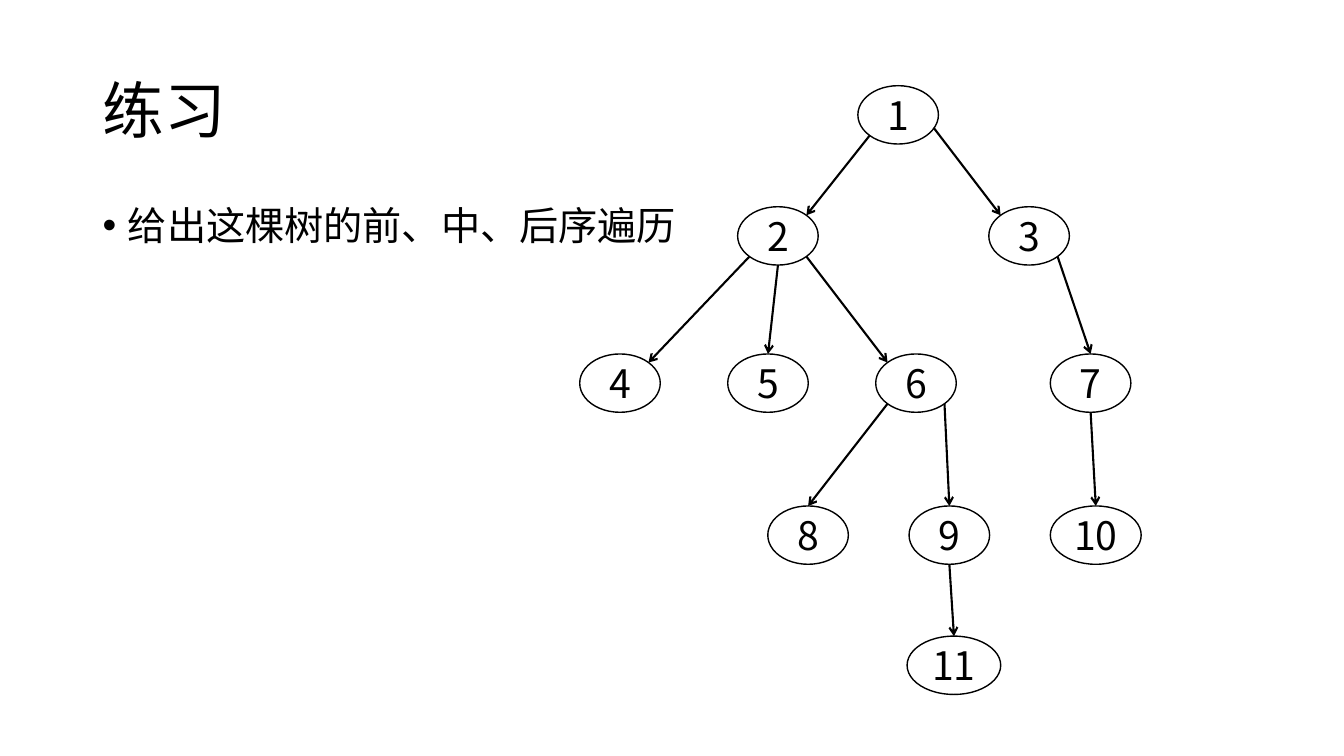
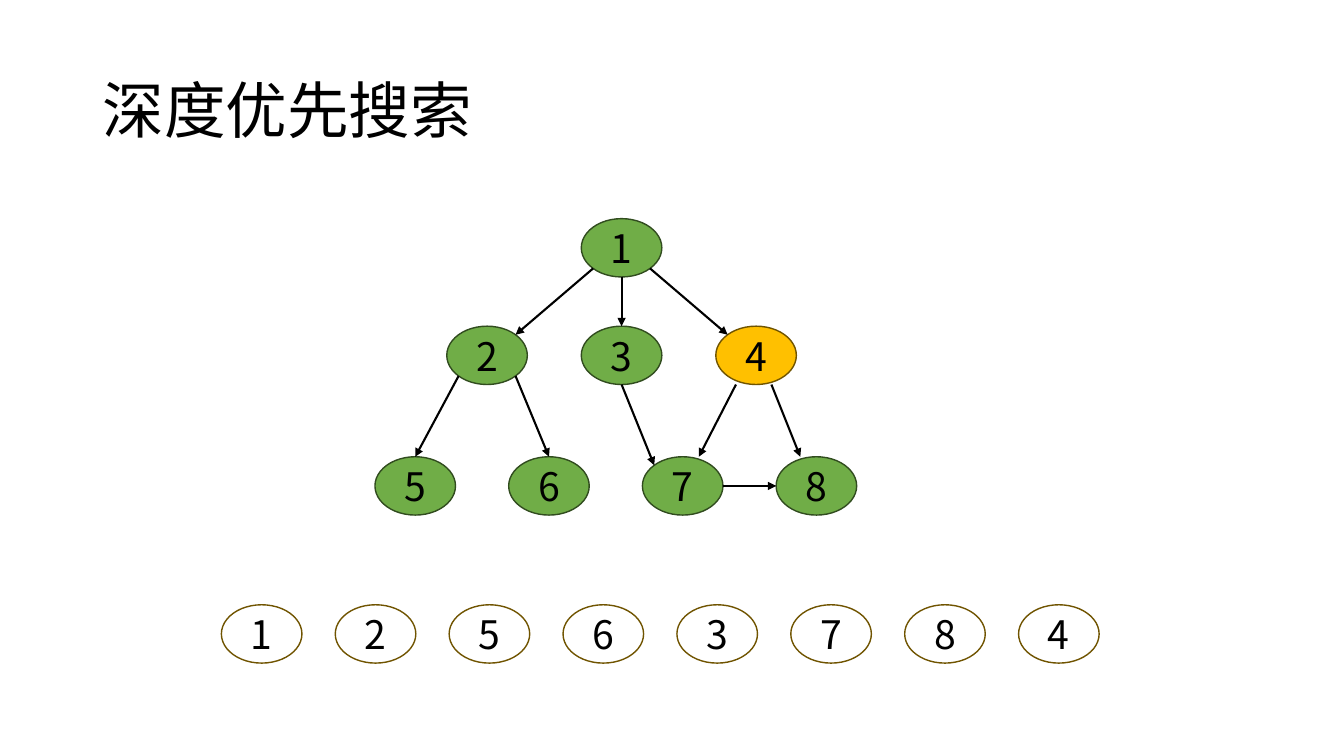
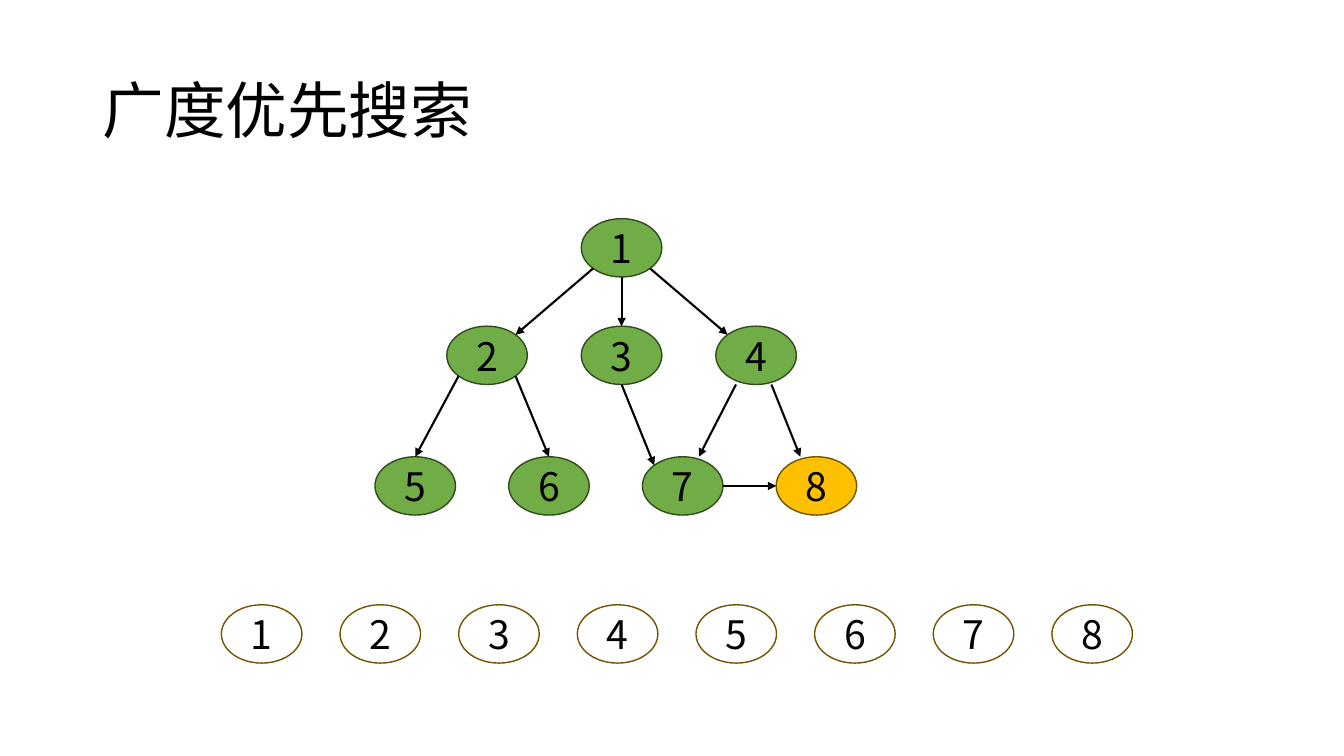
from dataclasses import dataclass
from math import cos, radians, sin

from lxml import etree
from pptx import Presentation
from pptx import util as u
from pptx.dml.color import RGBColor
from pptx.enum import shapes, text
from pptx.oxml import ns

TOP, TOP_LEFT, LEFT, BOTTOM_LEFT, BOTTOM, BOTTOM_RIGHT, RIGHT, TOP_RIGHT = range(8)


@dataclass(frozen=True)
class Theme:
    """Colours, font and type sizes of the deck."""

    font: str = "Noto Sans CJK SC"
    ink: str = "000000"
    paper: str = "FFFFFF"
    green: str = "70AD47"
    dark_green: str = "314C1F"
    gold: str = "FFC000"
    dark_gold: str = "705400"
    title_size: float = 44
    text_size: float = 28
    outline: float = 1
    edge: float = 1.5


class Lecture:
    """Builds slides of titles, lists and node graphs in one style."""

    node_width, node_height = 2.03, 1.47

    def __init__(self, theme):
        self.theme = theme
        self.deck = Presentation()
        self.deck.slide_width = u.Cm(33.87)
        self.deck.slide_height = u.Cm(19.05)
        self.slide = None

    def add_slide(self, title, layout):
        self.slide = self.deck.slides.add_slide(self.deck.slide_layouts[layout])
        box = self.slide.shapes.title
        self.place(box, 2.33, 1.01, 29.21, 3.68)
        box.text_frame.vertical_anchor = text.MSO_ANCHOR.MIDDLE
        para = box.text_frame.paragraphs[0]
        para.alignment = text.PP_ALIGN.LEFT
        para.line_spacing = 0.9
        self.add_span(para, title, self.theme.title_size)

    def place(self, box, left, top, width, height):
        box.left, box.top = u.Cm(left), u.Cm(top)
        box.width, box.height = u.Cm(width), u.Cm(height)
        box.text_frame.auto_size = text.MSO_AUTO_SIZE.NONE

    def add_span(self, para, words, size):
        span = para.add_run()
        span.text = words
        span.font.name = self.theme.font
        span.font.size = u.Pt(size)
        span.font.color.rgb = RGBColor.from_string(self.theme.ink)
        east_asian = etree.SubElement(span.font._element, ns.qn("a:ea"))
        east_asian.set("typeface", self.theme.font)

    def bullets(self, items):
        box = self.slide.placeholders[1]
        self.place(box, 2.33, 5.07, 29.21, 12.09)
        frame = box.text_frame
        for number, item in enumerate(items):
            para = frame.add_paragraph() if number else frame.paragraphs[0]
            para.line_spacing = 0.9
            para.space_before = u.Pt(10)
            properties = para._p.get_or_add_pPr()
            properties.set("marL", str(u.Cm(0.64)))
            properties.set("indent", str(-u.Cm(0.64)))
            self.add_span(para, item, self.theme.text_size)

    def node(self, label, left, top, fill, line, width=node_width):
        oval = self.slide.shapes.add_shape(
            shapes.MSO_SHAPE.OVAL,
            u.Cm(left), u.Cm(top), u.Cm(width), u.Cm(self.node_height))
        oval.shadow.inherit = False
        oval.fill.solid()
        oval.fill.fore_color.rgb = RGBColor.from_string(fill)
        oval.line.color.rgb = RGBColor.from_string(line)
        oval.line.width = u.Pt(self.theme.outline)
        frame = oval.text_frame
        frame.word_wrap = False
        frame.margin_left = frame.margin_right = 0
        frame.margin_top = frame.margin_bottom = 0
        frame.vertical_anchor = text.MSO_ANCHOR.MIDDLE
        para = frame.paragraphs[0]
        para.alignment = text.PP_ALIGN.CENTER
        self.add_span(para, str(label), self.theme.text_size)
        return oval

    def anchor(self, oval, site):
        """Returns the point of a numbered site or of a (x, y) share of the box."""
        if isinstance(site, tuple):
            across, down = site
        else:
            angle = radians(90 + 45 * site)
            across, down = (1 + cos(angle)) / 2, (1 - sin(angle)) / 2
        return (round(oval.left + across * oval.width),
                round(oval.top + down * oval.height))

    def edge(self, start, start_site, end, end_site, head):
        line = self.slide.shapes.add_connector(
            shapes.MSO_CONNECTOR.STRAIGHT,
            *self.anchor(start, start_site), *self.anchor(end, end_site))
        line.line.color.rgb = RGBColor.from_string(self.theme.ink)
        line.line.width = u.Pt(self.theme.edge)
        tail = etree.SubElement(line.line._get_or_add_ln(), ns.qn("a:tailEnd"))
        tail.set("type", head)
        etree.SubElement(line._element.spPr, ns.qn("a:effectLst"))
        joints = line._element.nvCxnSpPr.cNvCxnSpPr
        for tag, oval, site in (("a:stCxn", start, start_site),
                                ("a:endCxn", end, end_site)):
            if not isinstance(site, tuple):
                joint = etree.SubElement(joints, ns.qn(tag))
                joint.set("id", str(oval.shape_id))
                joint.set("idx", str(site))

    def edges(self, nodes, links, head):
        for start, start_site, end, end_site in links:
            self.edge(nodes[start], start_site, nodes[end], end_site, head)

    def exercise(self):
        self.add_slide("练习", 1)
        self.bullets(["给出这棵树的前、中、后序遍历"])
        levels = [
            (2.16, [21.62]),
            (5.21, [18.59, 24.92]),
            (8.92, [14.61, 18.34, 22.07, 26.47]),
            (12.75, [19.35, 22.91, 26.47]),
            (16.03, [22.86]),
        ]
        wide = {10: 2.29, 11: 2.36}
        spots = [(left, top) for top, lefts in levels for left in lefts]
        nodes = {
            label: self.node(label, left, top, self.theme.paper, self.theme.ink,
                             wide.get(label, self.node_width))
            for label, (left, top) in enumerate(spots, 1)}
        self.edges(nodes, [
            (1, BOTTOM_LEFT, 2, TOP_RIGHT),
            (1, (0.94, 0.72), 3, TOP_LEFT),
            (2, BOTTOM_LEFT, 4, TOP_RIGHT),
            (2, BOTTOM, 5, TOP),
            (2, BOTTOM_RIGHT, 6, TOP_LEFT),
            (3, BOTTOM_RIGHT, 7, TOP),
            (6, BOTTOM_LEFT, 8, TOP),
            (6, BOTTOM_RIGHT, 9, TOP),
            (7, BOTTOM, 10, TOP),
            (9, BOTTOM, 11, TOP),
        ], "arrow")

    def search(self, title, current, order, pitch):
        """Adds a search slide: the graph above, the visiting order below."""
        theme = self.theme
        self.add_slide(title, 5)
        spots = [(14.65, 5.51)]
        spots += [(11.26 + 3.39 * column, 8.22) for column in range(3)]
        spots += [(9.45 + 3.37 * column, 11.51) for column in range(4)]
        nodes = {}
        for label, (left, top) in enumerate(spots, 1):
            colours = ((theme.gold, theme.dark_gold) if label == current
                       else (theme.green, theme.dark_green))
            nodes[label] = self.node(label, left, top, *colours)
        self.edges(nodes, [
            (1, BOTTOM_LEFT, 2, TOP_RIGHT),
            (1, BOTTOM, 3, TOP),
            (1, BOTTOM_RIGHT, 4, TOP_LEFT),
            (2, BOTTOM_LEFT, 5, TOP),
            (2, BOTTOM_RIGHT, 6, TOP),
            (3, BOTTOM, 7, TOP_LEFT),
            (4, (0.25, 1), 7, (0.7, 0)),
            (4, (0.69, 1), 8, (0.3, 0)),
            (7, RIGHT, 8, LEFT),
        ], "triangle")
        for step, label in enumerate(order):
            self.node(label, 5.58 + pitch * step, 15.24,
                      theme.paper, theme.dark_gold)


def main():
    lecture = Lecture(Theme())
    lecture.exercise()
    lecture.search("深度优先搜索", 4, [1, 2, 5, 6, 3, 7, 8, 4], 2.87)
    lecture.search("广度优先搜索", 8, range(1, 9), 2.99)
    lecture.deck.save("out.pptx")


if __name__ == "__main__":
    main()
